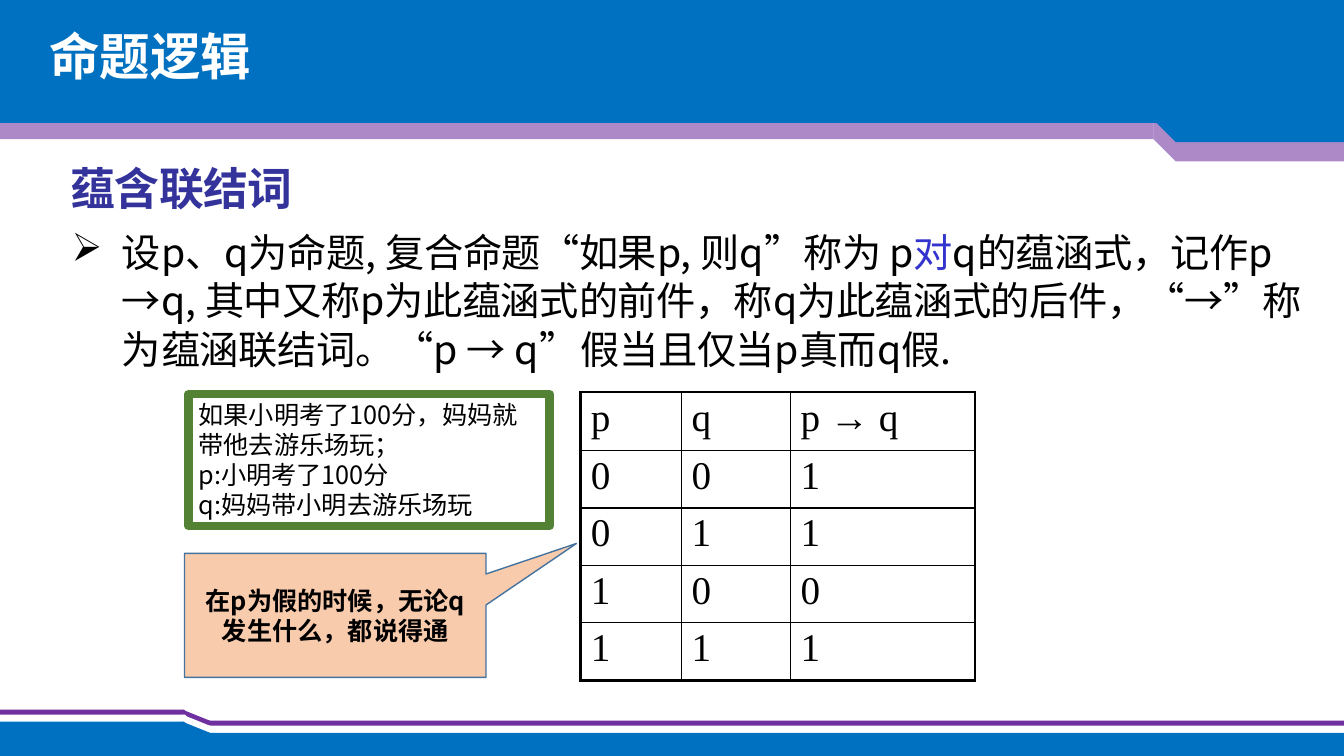
from lxml import etree
from pptx import Presentation
from pptx.dml.color import RGBColor
from pptx.enum.shapes import MSO_SHAPE
from pptx.enum.text import MSO_ANCHOR, PP_ALIGN
from pptx.oxml.ns import qn
from pptx.util import Inches, Pt

RECT = MSO_SHAPE.RECTANGLE
SNIP = MSO_SHAPE.SNIP_1_RECTANGLE
TRIANGLE = MSO_SHAPE.RIGHT_TRIANGLE
CALLOUT = MSO_SHAPE.RECTANGULAR_CALLOUT
TOP, MIDDLE = MSO_ANCHOR.TOP, MSO_ANCHOR.MIDDLE
LEFT, CENTER = PP_ALIGN.LEFT, PP_ALIGN.CENTER
SANS, SERIF = "Noto Sans CJK SC", "Times New Roman"
COLORS = {
    "white": "FFFFFF", "black": "000000", "blue": "0070C0", "purple": "7030A0",
    "heading": "33339B", "accent": "3333CD", "green": "548235",
    "peach": "F8CBAD", "callout_line": "43739E",
}
FORMATS = {
    "title": {"size": Pt(36), "bold": True, "name": SANS},
    "heading": {"size": Pt(32), "bold": True, "name": SANS},
    "body": {"size": Pt(28), "bold": False, "name": SANS},
    "cell": {"size": Pt(28), "bold": False, "name": SERIF},
    "example": {"size": Pt(18), "bold": False, "name": SANS},
    "remark": {"size": Pt(18), "bold": True, "name": SANS},
}


def add_run(p, text, style, color="black", spacing=0):
    r = p.add_run()
    r.text = text
    for key, value in FORMATS[style].items():
        setattr(r.font, key, value)
    r.font.color.rgb = RGBColor.from_string(COLORS[color])
    rPr = r.font._element
    etree.SubElement(rPr, qn("a:ea"), typeface=FORMATS[style]["name"])
    if spacing:
        rPr.set("spc", str(round(spacing * 100)))


def add_box(kind, box, fill=None, line=None, width=1):
    sp = shapes.add_shape(kind, *[Inches(v) for v in box])
    sp.shadow.inherit = False
    if fill:
        sp.fill.solid()
        sp.fill.fore_color.rgb = RGBColor.from_string(COLORS[fill])
    else:
        sp.fill.background()
    if line:
        sp.line.color.rgb = RGBColor.from_string(COLORS[line])
        sp.line.width = Pt(width)
    else:
        sp.line.fill.background()
    return sp


prs = Presentation()
prs.slide_width, prs.slide_height = Inches(13.33), Inches(7.5)
slide = prs.slides.add_slide(prs.slide_layouts[5])
shapes = slide.shapes

for color, left, top in [("purple", -0.02, 7.04), ("white", -0.01, 7.09), ("blue", -0.02, 7.16)]:
    add_box(SNIP, (left, top, 1.9, 0.32), color)
    add_box(RECT, (left, top + 0.11, 13.37, 0.23), color)
    add_box(TRIANGLE, (1.81, top, 0.62, 0.25), color)

header = [
    (SNIP, (11.44, 0.28, 1.9, 1.32), "purple"),
    (RECT, (-0.03, 0.14, 11.47, 1.24), "purple"),
    (SNIP, (11.44, 0.09, 1.9, 1.32), "blue"),
    (RECT, (-0.04, -0.02, 13.39, 1.24), "blue"),
    (TRIANGLE, (10.9, 0.37, 0.75, 0.99), "blue"),
]
for kind, box, color in header:
    sp = add_box(kind, box, color)
    sp.rotation = 180
    if color == "purple":
        clr = sp.fill._xPr.find(qn("a:solidFill"))[0]
        etree.SubElement(clr, qn("a:alpha"), val="57000")

title = shapes.title
title.left, title.top, title.width, title.height = [Inches(v) for v in (0.39, 0.27, 8.34, 0.7)]
shapes._spTree.append(title._element)
tf = title.text_frame
tf.vertical_anchor = TOP
p = tf.paragraphs[0]
p.alignment = LEFT
p.line_spacing = 0.9
add_run(p, "命题逻辑", "title", "white")

heading = shapes.add_textbox(Inches(-0.24), Inches(1.53), Inches(3.58), Inches(0.6))
body = shapes.add_textbox(Inches(0.7), Inches(2.18), Inches(12.43), Inches(2.66))
for sp, top in [(heading, 0.06), (body, 0.07)]:
    tf = sp.text_frame
    tf.word_wrap = True
    tf.margin_left = tf.margin_right = tf.margin_bottom = 0
    tf.margin_top = Inches(top)

p = heading.text_frame.paragraphs[0]
p.alignment = CENTER
p.space_before = Pt(5.7)
p._p.get_or_add_pPr().set("marL", str(Inches(0.5)))
add_run(p, "蕴含联结词", "heading", "heading", -0.5)

p = body.text_frame.paragraphs[0]
p.line_spacing = Pt(34.6)
p.space_before = Pt(5.3)
pPr = p._p.get_or_add_pPr()
pPr.set("marL", str(Inches(0.51)))
pPr.set("indent", str(Inches(-0.5)))
etree.SubElement(pPr, qn("a:buChar"), char="➢")
definition = [
    ("设", -0.3), ("p", -0.2), ("、", -0.3), ("q", -0.2), ("为命题", -0.3), (", ", 0.2),
    ("复合命题“如果", -0.3), ("p, ", 0), ("则", -0.3), ("q”", -0.2), ("称", -0.3),
    ("为 ", -0.5), ("p", -0.2), ("对", -0.3), ("q", -0.2), ("的蕴涵式，记作", -0.3),
    ("p →q, ", 0), ("其中又称", -0.3), ("p", -0.2), ("为此蕴涵", -0.3), ("式", -0.5),
    ("的前件，称", -0.3), ("q", -0.2), ("为此蕴涵式的后件，“→”称为", -0.3),
    ("蕴涵", -0.4), ("联结词。", -0.3), ("“p", 0), (" → ", 0.1), ("q", -0.2),
    ("” 假", -2.3), ("当且仅当", -0.3), ("p", -0.2), ("真而", -0.3), ("q", -0.2),
    ("假", -0.3), (".", -0.5),
]
for text, spacing in definition:
    add_run(p, text, "body", "accent" if text == "对" else "black", spacing)

truth_rows = [("p", "q", "p → q"), "001", "011", "100", "111"]
last_row, last_col = len(truth_rows) - 1, 2
frame = shapes.add_table(5, 3, Inches(5.76), Inches(3.89), Inches(3.91), Inches(2.86))
table = frame.table
table.first_row = table.horz_banding = False
for col, width in zip(table.columns, (1, 1.08, 1.83)):
    col.width = Inches(width)
for i, values in enumerate(truth_rows):
    table.rows[i].height = Inches(0.57 if i else 0.58)
    for j, value in enumerate(values):
        cell = table.cell(i, j)
        cell.margin_left = cell.margin_right = cell.margin_bottom = 0
        cell.margin_top = Inches(0.04)
        tcPr = cell._tc.get_or_add_tcPr()
        edges = {"L": j == 0, "R": j == last_col, "T": i == 0, "B": i == last_row}
        for side, outer in edges.items():
            ln = etree.SubElement(tcPr, qn(f"a:ln{side}"), w=str(Pt(2.25 if outer else 1)))
            fill = etree.SubElement(ln, qn("a:solidFill"))
            etree.SubElement(fill, qn("a:srgbClr"), val=COLORS["black"])
        cell.fill.background()
        p = cell.text_frame.paragraphs[0]
        p.space_before = Pt(2.7)
        p._p.get_or_add_pPr().set("marL", str(Inches(0.1)))
        add_run(p, value, "cell")

example = add_box(RECT, (1.87, 3.91, 3.58, 1.31), line="green", width=6)
remark = add_box(CALLOUT, (1.83, 5.49, 2.99, 1.23), "peach", "callout_line")
remark.adjustments[0], remark.adjustments[1] = 0.8, -0.58
notes = [
    (example, "example", TOP, LEFT,
     ["如果小明考了100分，妈妈就带他去游乐场玩；", "p:小明考了100分", "q:妈妈带小明去游乐场玩"]),
    (remark, "remark", MIDDLE, CENTER, ["在p为假的时候，无论q发生什么，都说得通"]),
]
for sp, style, anchor, align, lines in notes:
    tf = sp.text_frame
    tf.word_wrap = True
    tf.vertical_anchor = anchor
    for i, line in enumerate(lines):
        p = tf.add_paragraph() if i else tf.paragraphs[0]
        p.alignment = align
        add_run(p, line, style)

prs.save("out.pptx")
